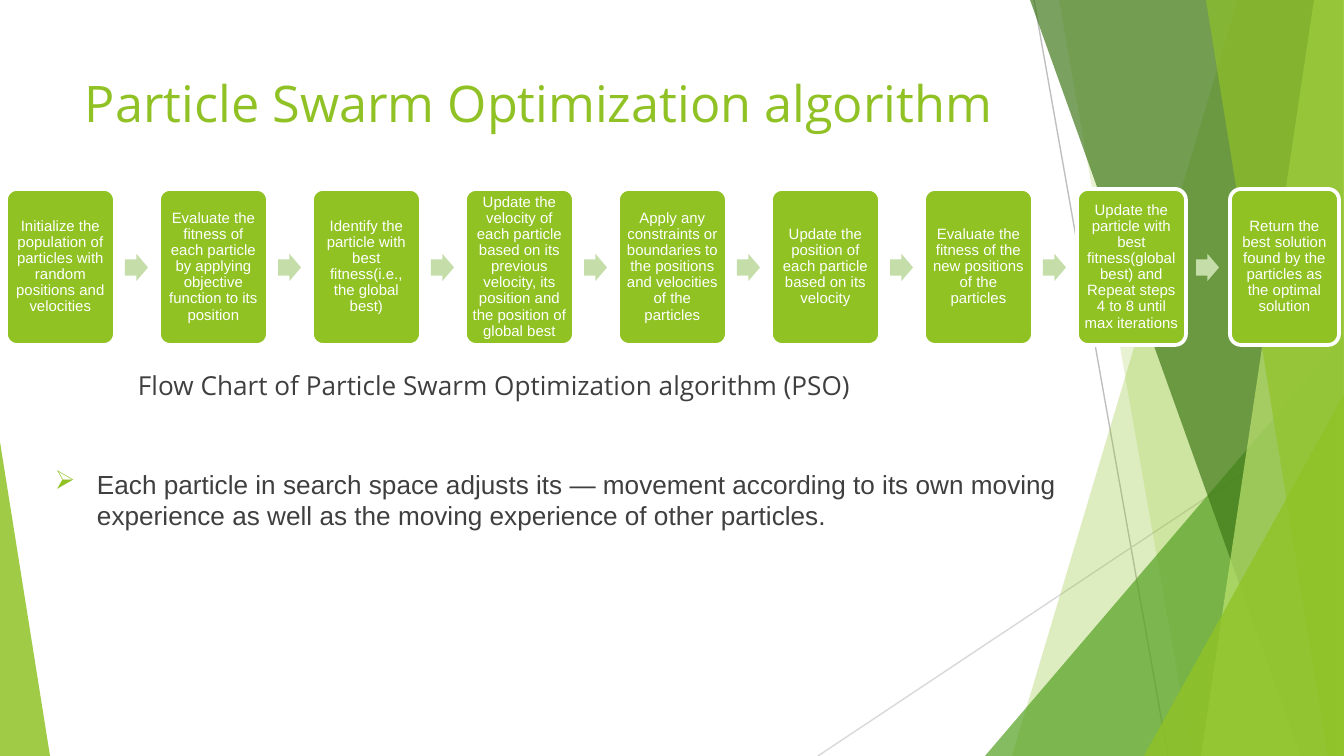
from dataclasses import dataclass

from lxml import etree
from pptx import Presentation
from pptx import util as u
from pptx.dml.color import RGBColor
from pptx.enum import shapes, text
from pptx.oxml.ns import qn

SCALE = 914400 / 134.4


@dataclass(frozen=True)
class Theme:
    """Colours, fonts and type sizes of the slide."""
    lime: str = "90C226"
    step: str = "90C223"
    arrow: str = "C5DDA8"
    green: str = "54A021"
    forest: str = "3F7818"
    pale: str = "BFE471"
    ink: str = "3F3F3F"
    white: str = "FFFFFF"
    heading: str = "Open Sans"
    body: str = "Arial"
    title_size: int = 27
    body_size: int = 14
    step_size: int = 8


theme = Theme()


def paint(sp, color, alpha=100):
    """Give a shape a flat fill without outline or shadow."""
    sp.shadow.inherit = False
    sp.line.fill.background()
    sp.fill.solid()
    sp.fill.fore_color.rgb = RGBColor.from_string(color)
    if alpha < 100:
        clr = sp._element.spPr.find(qn("a:solidFill"))[0]
        etree.SubElement(clr, qn("a:alpha"), val=str(alpha * 1000))


def write(sp, words, font, size, color, inset):
    """Put one wrapped paragraph in a shape and return it."""
    tf = sp.text_frame
    tf.word_wrap = True
    tf.margin_left = tf.margin_right = px(inset[0])
    tf.margin_top = tf.margin_bottom = px(inset[1])
    p = tf.paragraphs[0]
    p.text = words
    p.font.name, p.font.size = font, u.Pt(size)
    p.font.color.rgb = RGBColor.from_string(color)
    return p


px = lambda n: u.Emu(round(n * SCALE))

prs = Presentation()
prs.slide_width, prs.slide_height = px(1344), px(756)
s = prs.slides.add_slide(prs.slide_layouts[6])

# Background lines: x1, y1, x2, y2, colour
for *ends, color in [(1034, 0, 1168, 756, "BFBFBF"),
                     (1344, 406, 818, 756, "D8D8D8")]:
    line = s.shapes.add_connector(shapes.MSO_CONNECTOR.STRAIGHT, *map(px, ends))
    line.line.color.rgb = RGBColor.from_string(color)
    line.line.width = u.Pt(0.75)
    etree.SubElement(line._element.spPr, qn("a:effectLst"))

# Bands: top left x, bottom left x, right x
# Triangles: left, top, width, height, apex
facets = [
    ((1238, 1012, 1344), theme.lime, 29),
    ((1059, 1192, 1344), theme.lime, 20),
    ((985, 336, 359, 420, 1), theme.green, 71),
    ((1030, 1301, 1343), theme.forest, 69),
    ((1314, 1201, 1344), theme.pale, 69),
    ((1206, 1328, 1344), theme.lime, 65),
    ((1144, 395, 200, 361, 1), theme.lime, 80),
    ((0, 442, 50, 314, 0), theme.lime, 85),
]
for geometry, color, alpha in facets:
    if len(geometry) == 3:
        top_x, bottom_x, right = geometry
        outline = s.shapes.build_freeform(top_x, 0, SCALE)
        outline.add_line_segments([(right, 0), (right, 756), (bottom_x, 756)])
        sp = outline.convert_to_shape()
    else:
        *box, apex = geometry
        sp = s.shapes.add_shape(shapes.MSO_SHAPE.ISOSCELES_TRIANGLE, *map(px, box))
        sp.adjustments[0] = apex
    paint(sp, color, alpha)

title = s.shapes.add_textbox(px(75), px(67), px(948), px(145))
write(title, "Particle Swarm Optimization algorithm",
      theme.heading, theme.title_size, theme.lime, (10, 5))

caption = s.shapes.add_textbox(px(105), px(364), px(948), px(78))
p = write(caption, "Flow Chart of Particle Swarm Optimization algorithm (PSO)",
          theme.heading, theme.body_size, theme.ink, (10, 5))
p.space_before = u.Pt(8)
p._p.get_or_add_pPr().set("marL", str(px(23)))

steps = [
    "Initialize the population of particles with random positions and velocities",
    "Evaluate the fitness of each particle by applying objective function to its position",
    "Identify the particle with best fitness(i.e., the global best)",
    "Update the velocity of each particle based on its previous velocity, "
    "its position and the position of global best",
    "Apply any constraints or boundaries to the positions and velocities of the particles",
    "Update the position of each particle based on its velocity",
    "Evaluate the fitness of the new positions of the particles",
    "Update the particle with best fitness(global best) and Repeat steps 4 to 8 "
    "until max iterations",
    "Return the best solution found by the particles as the optimal solution",
]
FIRST, PITCH = 6, 153
for i, words in enumerate(steps):
    left = FIRST + i * PITCH
    sp = s.shapes.add_shape(shapes.MSO_SHAPE.ROUNDED_RECTANGLE,
                            px(left), px(189), px(109), px(156))
    sp.adjustments[0] = 0.1
    paint(sp, theme.step)
    sp.line.color.rgb = RGBColor.from_string(theme.white)
    sp.line.width = u.Pt(2)
    p = write(sp, words, theme.body, theme.step_size, theme.white, (4, 4))
    p.alignment = text.PP_ALIGN.CENTER
    p.line_spacing = 0.9
    sp.text_frame.vertical_anchor = text.MSO_ANCHOR.MIDDLE
    if i < len(steps) - 1:
        arrow = s.shapes.add_shape(shapes.MSO_SHAPE.RIGHT_ARROW,
                                   px(left + 119), px(254), px(23), px(27))
        arrow.adjustments[0], arrow.adjustments[1] = 0.6, 0.5
        paint(arrow, theme.arrow)

note = s.shapes.add_textbox(px(42), px(461), px(1059), px(109))
p = write(note, "Each particle\u00a0in search space adjusts its \u2015 movement according to "
          "its own moving experience as well as the moving experience of other particles.",
          theme.body, theme.body_size, theme.ink, (13, 7))
pPr = p._p.get_or_add_pPr()
pPr.set("marL", str(px(42)))
pPr.set("indent", str(-px(42)))
bullet_color = etree.Element(qn("a:buClr"))
etree.SubElement(bullet_color, qn("a:srgbClr"), val=theme.lime)
bullet_font = etree.Element(qn("a:buFont"), typeface="Wingdings")
bullet = etree.Element(qn("a:buChar"), char="\u00d8")
for position, element in enumerate((bullet_color, bullet_font, bullet)):
    pPr.insert(position, element)

prs.save("out.pptx")
